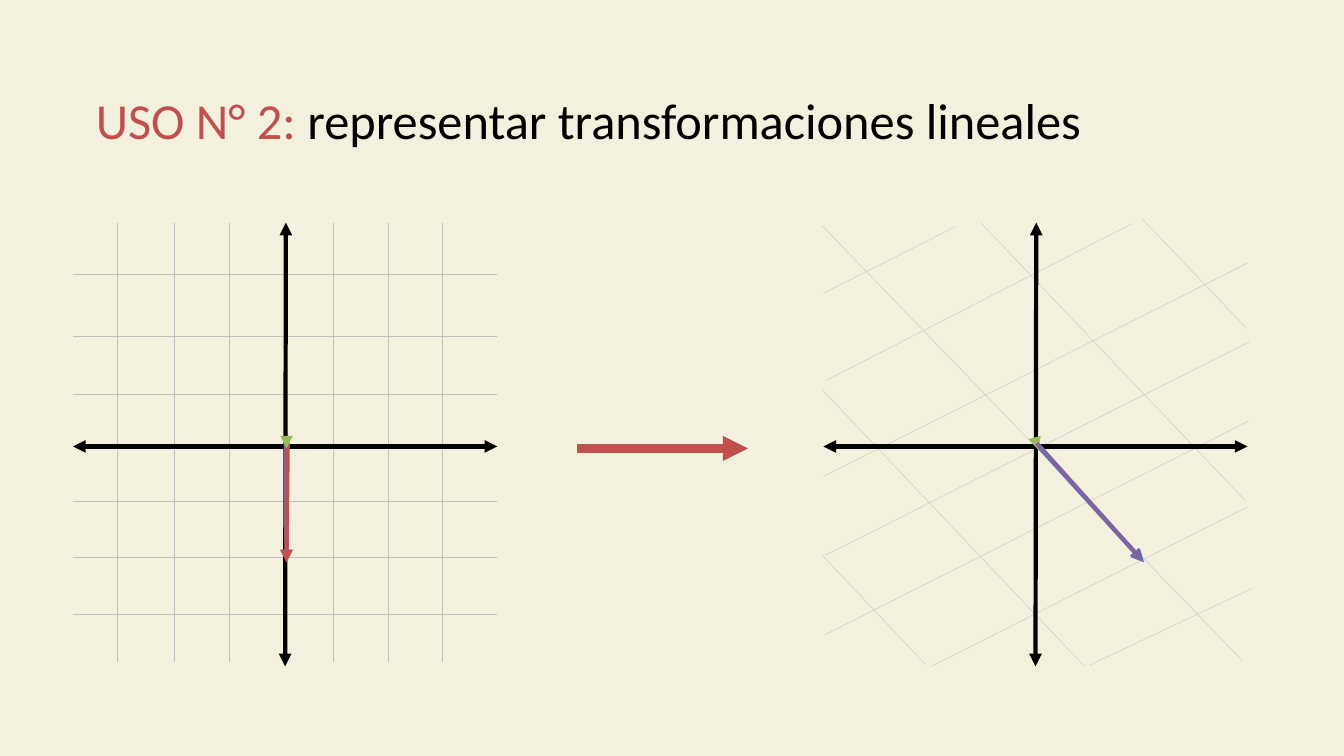
from dataclasses import dataclass
from lxml.etree import SubElement
from pptx import Presentation
from pptx.dml.color import RGBColor as Rgb
from pptx.enum.shapes import MSO_CONNECTOR as Link
from pptx.enum.text import MSO_ANCHOR as Anchor, MSO_AUTO_SIZE as Fit, PP_ALIGN as Align
from pptx.oxml.ns import qn
from pptx.util import Cm, Pt


@dataclass(frozen=True)
class Theme:
    back: str = "F3F0DE"
    ink: str = "000000"
    grid: str = "BFBFBF"
    red: str = "C0504D"
    blue: str = "4F81BD"
    green: str = "9BBB59"
    purple: str = "8064A2"
    font: str = "Calibri"
    title: float = 36
    thin: float = 0.25
    bold: float = 3
    heavy: float = 6


@dataclass(frozen=True)
class Box:
    left: float
    top: float
    width: float
    height: float


theme = Theme()

# Grid lines of the plain plane, as offsets from its origin
COLS = (-4.22, -2.79, -1.4, 1.22, 2.59, 3.96)
ROWS = (-4.34, -2.79, -1.32, 1.37, 2.79, 4.22)

# Grid lines of the transformed plane, as start and end inside its box
SLANTS = (
    # Falling
    (-0.03, 0.08, 10.57, 11.05),
    (3.96, 0, 10.62, 6.99),
    (8.05, -0.08, 10.67, 2.67),
    (-0.05, 4.19, 6.58, 11.18),
    (-0.05, 8.36, 2.57, 11.13),
    # Rising
    (0.05, 8.38, 10.74, 3),
    (0, 6.4, 10.69, 1.02),
    (0.1, 3.96, 7.77, 0.03),
    (0, 1.78, 3.33, 0.1),
    (0.03, 10.39, 10.72, 5),
    (2.72, 11.18, 10.69, 7.16),
    (6.71, 11.15, 10.8, 9.22),
)


def add_line(slide, box, ends, color, width, heads=()):
    """Draw a line between two points given inside the box."""
    x1, y1, x2, y2 = ends
    line = slide.shapes.add_connector(
        Link.STRAIGHT,
        Cm(box.left + x1), Cm(box.top + y1),
        Cm(box.left + x2), Cm(box.top + y2),
    )
    line.line.color.rgb = Rgb.from_string(color)
    line.line.width = Pt(width)
    props = line.line._get_or_add_ln()
    for head in heads:
        SubElement(props, qn(f"a:{head}"), type="triangle")
    SubElement(line._element.spPr, qn("a:effectLst"))


def add_title(slide, box, parts):
    title = slide.shapes.title
    title.left, title.top = Cm(box.left), Cm(box.top)
    title.width, title.height = Cm(box.width), Cm(box.height)
    frame = title.text_frame
    frame.word_wrap = True
    frame.auto_size = Fit.NONE
    frame.vertical_anchor = Anchor.MIDDLE
    para = frame.paragraphs[0]
    para.alignment = Align.LEFT
    for text, color in parts:
        run = para.add_run()
        run.text = text
        run.font.name = theme.font
        run.font.size = Pt(theme.title)
        run.font.color.rgb = Rgb.from_string(color)


def add_plane(slide, box, grid, arrows):
    """Draw grid lines, both axes and the vectors, from back to front."""
    for ends in grid:
        add_line(slide, box, ends, theme.grid, theme.thin)
    mid = box.width / 2
    level = 5.64
    axes = (
        (0, level, box.width, level),
        (mid + 0.02, 0, mid, box.height),
    )
    for ends in axes:
        add_line(slide, box, ends, theme.ink, theme.bold, ("headEnd", "tailEnd"))
    for color, ends in arrows:
        add_line(slide, box, ends, color, theme.bold, ("tailEnd",))


def square_grid(box):
    mid, level = box.width / 2, 5.64
    cols = [(mid + x, 0, mid + x, box.height - 0.1) for x in COLS]
    rows = [(box.width, level + y, 0, level + y) for y in ROWS]
    return cols + rows


def build():
    deck = Presentation()
    deck.slide_width, deck.slide_height = Cm(33.87), Cm(19.05)
    slide = deck.slides.add_slide(deck.slide_layouts[5])
    fill = slide.background.fill
    fill.solid()
    fill.fore_color.rgb = Rgb.from_string(theme.back)

    # Title
    add_title(slide, Box(2.16, 2.11, 28.96, 1.8), (
        ("USO N° 2: ", theme.red),
        ("representar transformaciones lineales", theme.ink),
    ))

    # Plane before the transformation
    plain = Box(1.84, 5.61, 10.69, 11.18)
    add_plane(slide, plain, square_grid(plain), (
        (theme.purple, (5.36, 5.56, 5.38, 8.56)),
        (theme.red, (5.41, 5.56, 5.38, 8.56)),
        (theme.green, (5.38, 5.66, 5.38, 5.69)),
    ))

    # Plane after the transformation
    add_plane(slide, Box(20.75, 5.61, 10.69, 11.18), SLANTS, (
        (theme.blue, (5.33, 5.54, 8.08, 8.56)),
        (theme.green, (5.38, 5.61, 5.41, 5.72)),
        (theme.purple, (5.38, 5.56, 8.05, 8.53)),
    ))

    # Arrow between the planes
    step = Box(14.55, 11.3, 4.3, 0)
    add_line(slide, step, (0, 0, step.width, 0), theme.red, theme.heavy, ("tailEnd",))

    deck.save("out.pptx")


if __name__ == "__main__":
    build()
